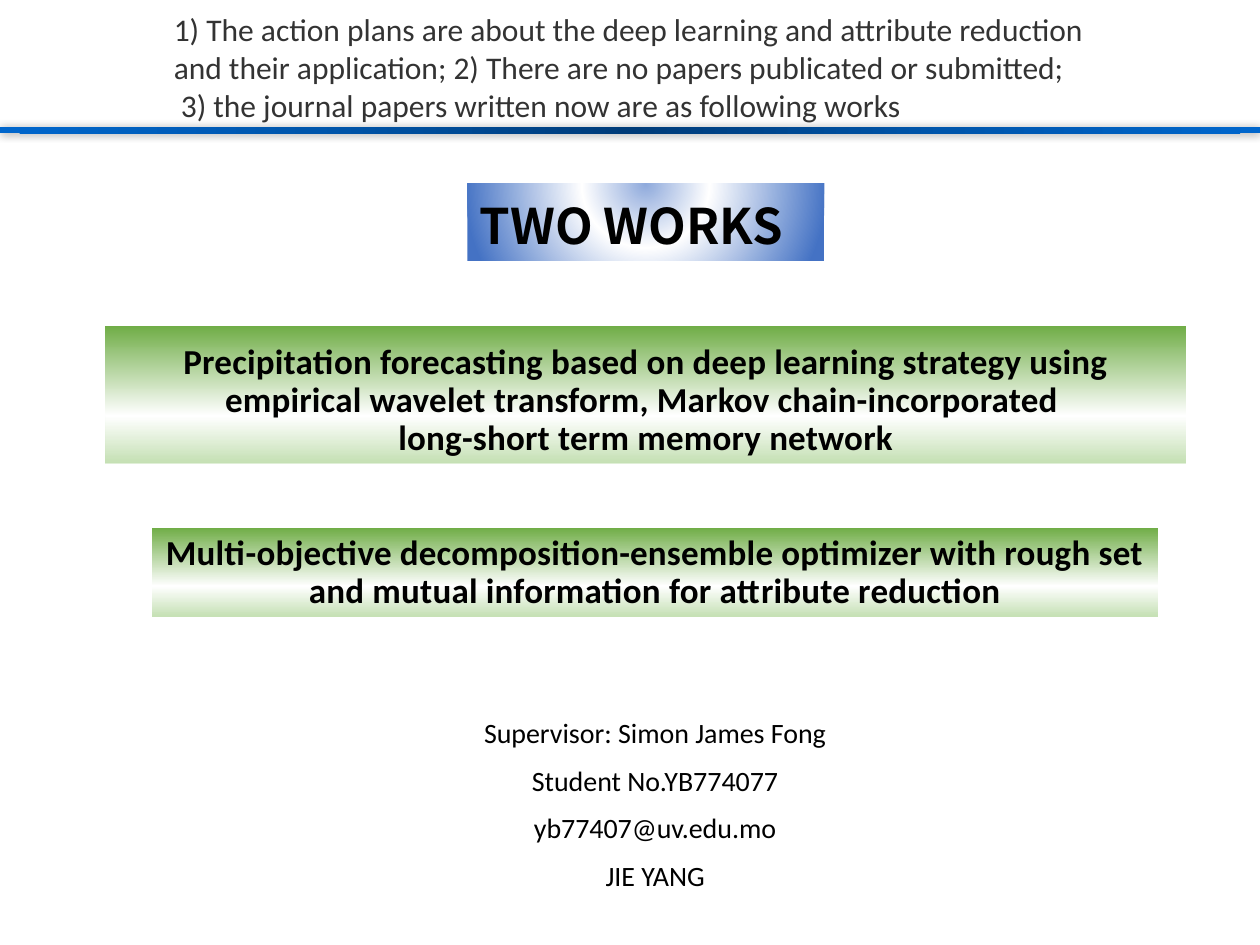
from lxml import etree
from pptx import Presentation
from pptx.dml.color import RGBColor
from pptx.enum import shapes, text
from pptx.oxml.ns import qn
from pptx.util import Pt

HUES = {
    "black": "000000", "gray": "333333", "white": "FFFFFF",
    "green": "70AD47", "mint": "C5E0B4",
    "blue": "4472C4", "sky": "8FAADC",
    "navy": "003C79", "mid": "0056AC", "azure": "0066CC",
}
LEFT, MID = text.PP_ALIGN.LEFT, text.PP_ALIGN.CENTER
TOP, LOW = text.MSO_ANCHOR.TOP, text.MSO_ANCHOR.BOTTOM

GREEN = [(0, "white"), (1, "mint"), (35, "white"), (100, "green")]
BLUE = [(0, "sky"), (35, "white"), (100, "blue")]
RULE = [(0, "navy"), (50, "mid"), (100, "azure")]


def node(parent, tag, **attrs):
    item = etree.SubElement(parent, qn(tag))
    for key, val in attrs.items():
        item.set(key, str(val))
    return item


def shade(shape, stops, focus=None):
    """Gradient fill: upward when focus is None, else round the focus."""
    grad = etree.Element(qn("a:gradFill"), rotWithShape="1")
    group = node(grad, "a:gsLst")
    for spot, hue in stops:
        stop = node(group, "a:gs", pos=spot * 1000)
        node(stop, "a:srgbClr", val=HUES[hue])
    if focus is None:
        node(grad, "a:lin", ang=270 * 60000, scaled=0)
    else:
        sides = {side: val * 1000 for side, val in zip("ltrb", focus)}
        node(node(grad, "a:path", path="circle"), "a:fillToRect", **sides)
    shape.element.spPr.find(qn("a:prstGeom")).addnext(grad)


def panel(slide, box, stops, focus=None):
    shape = slide.shapes.add_shape(
        shapes.MSO_SHAPE.RECTANGLE, *map(Pt, box))
    shape.line.fill.background()
    shape.shadow.inherit = False
    shade(shape, stops, focus)
    return shape


def write(shape, lines, size, hue="black", face="Calibri", bold=False,
          align=MID, anchor=TOP, lead=0.9, before=0, track=0):
    frame = shape.text_frame
    frame.word_wrap = True
    frame.vertical_anchor = anchor
    frame.text = "\n".join(lines)
    for para in frame.paragraphs:
        para.alignment = align
        para.line_spacing = lead
        para.space_before = Pt(before)
        font = para.font
        font.size, font.name, font.bold = Pt(size), face, bold
        font.color.rgb = RGBColor.from_string(HUES[hue])
        if track:
            for run in para.runs:
                run._r.get_or_add_rPr().set("spc", str(track))


def header(slide, box):
    left, top, width, height = box
    # Blue rule with a soft shadow
    bar = panel(slide, (left, top + 72.7, width, 3.6), RULE, (50,) * 4)
    glow = node(bar.element.spPr.find(qn("a:effectLst")), "a:outerShdw",
                blurRad=Pt(5), dist=0, dir=0, rotWithShape=0)
    node(node(glow, "a:srgbClr", val=HUES["black"]), "a:alpha", val=40000)
    # Summary above the rule
    note = slide.shapes.add_textbox(
        Pt(left + 92.2), Pt(top + 2.2), Pt(541.4), Pt(72.7))
    write(note, [
        "1) The action plans are about the deep learning and attribute "
        "reduction and their application; 2) There are no papers "
        "publicated or submitted;",
        " 3) the journal papers written now are as following works",
    ], 18, "gray", align=LEFT, lead=1.0)


def label(slide, box):
    shape = panel(slide, box, BLUE, (50, -80, 50, 180))
    write(shape, ["TWO WORKS"], 28, face="Noto Sans CJK SC", bold=True,
          align=LEFT, anchor=LOW)


def work(slide, box, title):
    shape = panel(slide, box, GREEN)
    write(shape, [title], 20, bold=True, anchor=LOW, track=10)


def author(slide, box):
    shape = slide.shapes.add_textbox(*map(Pt, box))
    write(shape, ["Supervisor: Simon James Fong", "Student No.YB774077",
                  "yb77407@uv.edu.mo", "JIE YANG"], 16, before=10)


def main():
    deck = Presentation()
    deck.slide_width, deck.slide_height = Pt(720), Pt(540)
    slide = deck.slides.add_slide(deck.slide_layouts[6])
    header(slide, (0, 0, 720, 76.3))
    label(slide, (267.1, 105.1, 203.8, 43.9))
    work(slide, (60.2, 186.3, 617.8, 79),
         "Precipitation forecasting based on deep learning strategy using "
         "empirical wavelet transform, Markov chain-incorporated \v"
         "long-short term memory network")
    work(slide, (87, 301.7, 574.6, 51.1),
         "Multi-objective decomposition-ensemble optimizer with rough set "
         "and mutual information for attribute reduction")
    author(slide, (115.2, 407.5, 518.4, 113.8))
    deck.save("out.pptx")


if __name__ == "__main__":
    main()
